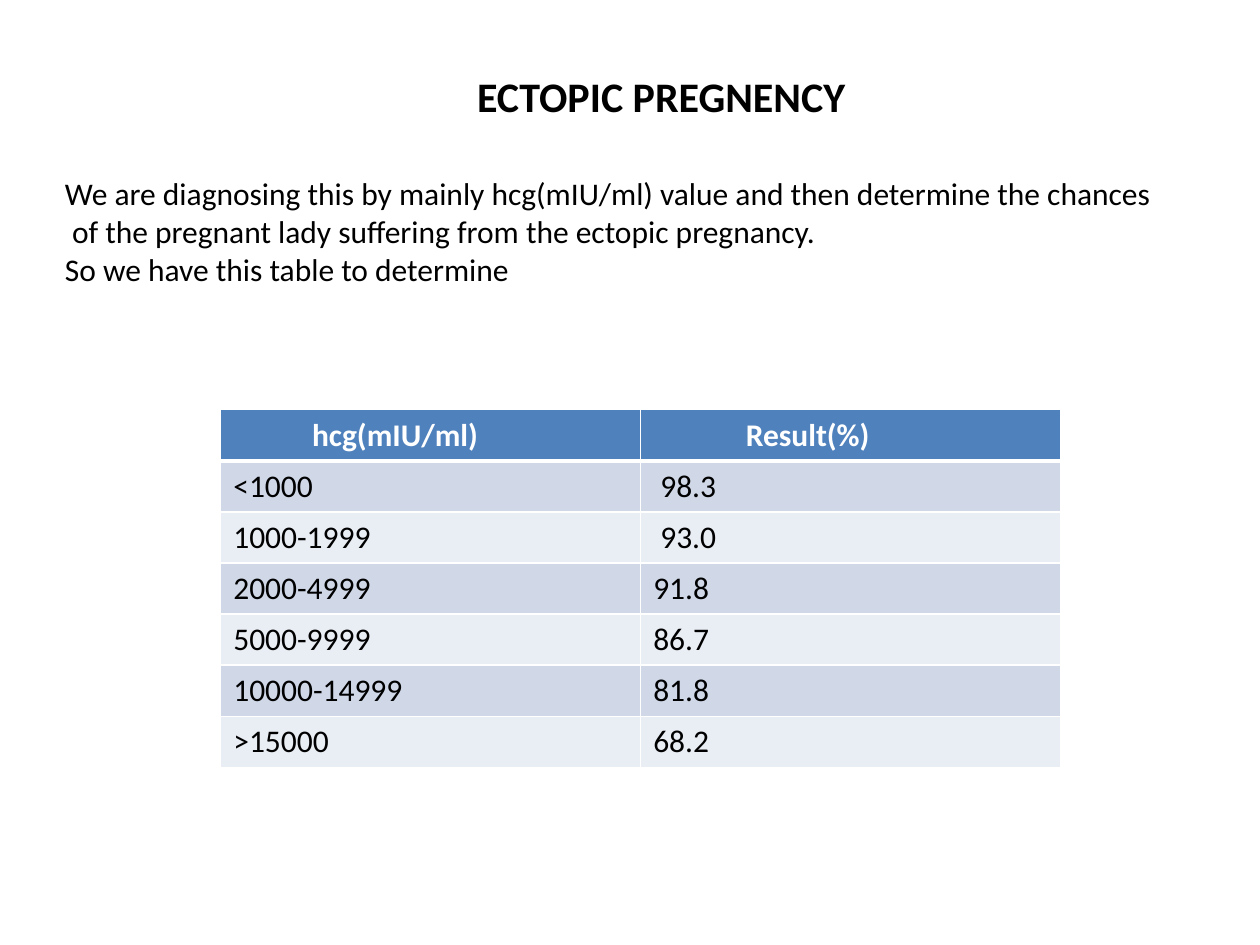
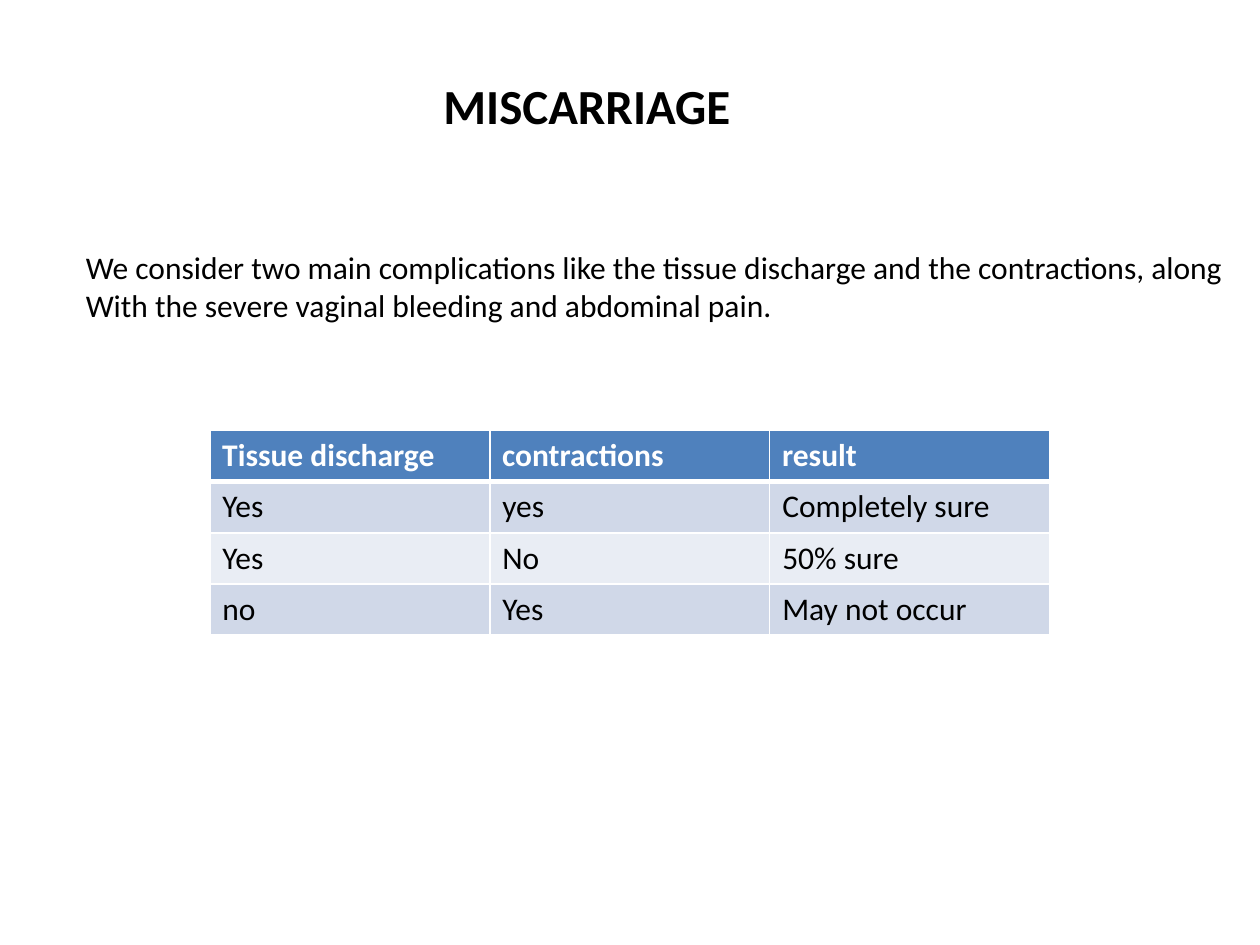
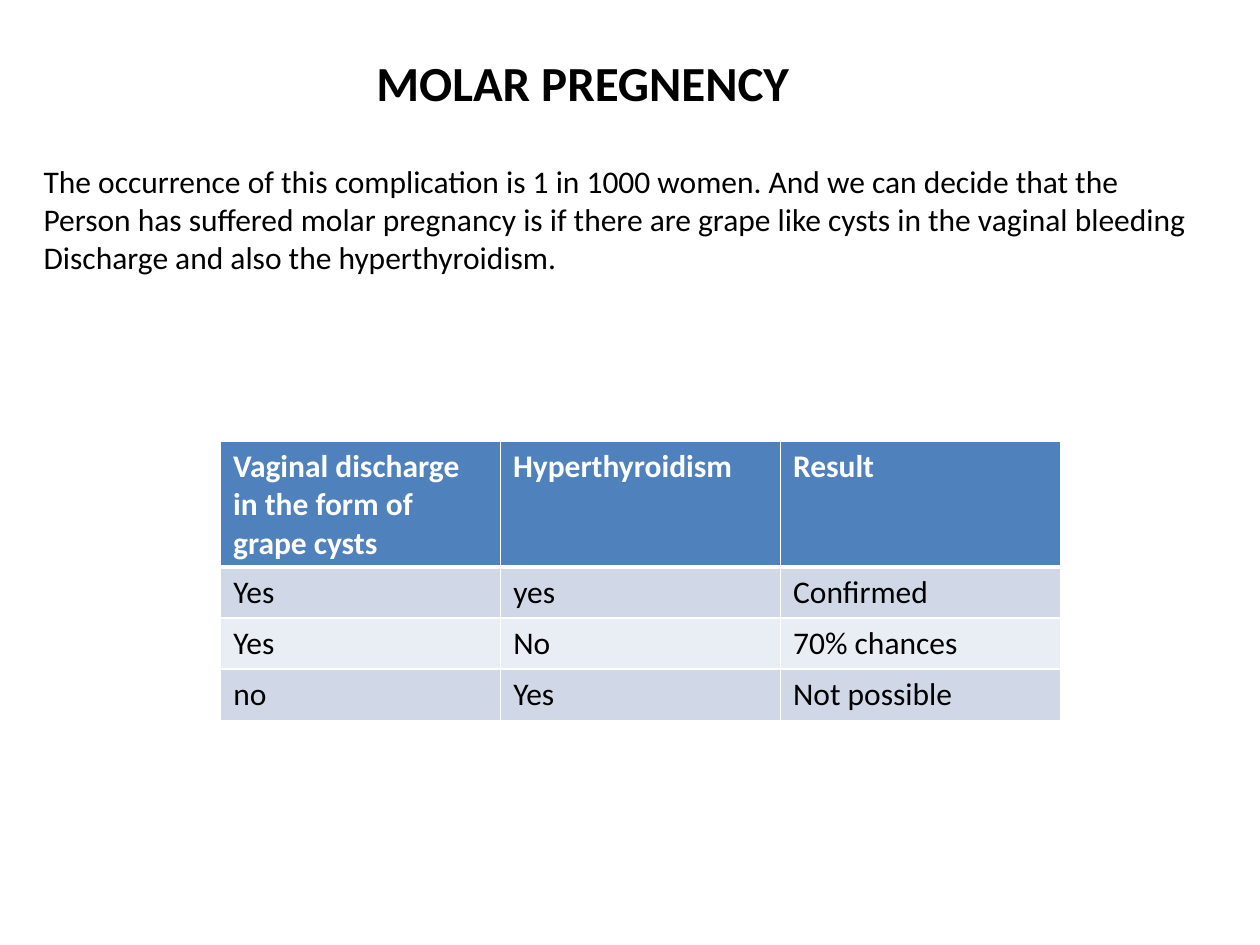
from lxml import etree
from pptx import Presentation
from pptx.dml.color import RGBColor
from pptx.enum import text
from pptx.oxml import ns
from pptx.util import Cm, Pt

FONT = "Calibri"
BODY_SIZE = 18
BLACK, WHITE = "000000", "FFFFFF"
HEADER_FILL = "4F81BD"
BAND_FILLS = ("D0D8E8", "E9EDF4")
TABLE_WIDTH, ROW_HEIGHT, CELL_MARGIN = 16.93, 1.03, 0.25

# Places are (left, top, width, height) in cm; a table needs only (left, top).
SLIDES = [
    {
        "title": "ECTOPIC PREGNENCY",
        "title_size": 24,
        "title_at": (9.37, 1.3, 8, 1.27),
        "body": [
            "We are diagnosing this by mainly hcg(mIU/ml) value and then determine the chances",
            " of the pregnant lady suffering from the ectopic pregnancy.",
            "So we have this table to determine",
        ],
        "body_at": (1.06, 3.39, 23.28, 4.87),
        "table_at": (4.45, 8.26),
        "header_indents": (1.59, 1.87),
        "rows": [
            ("hcg(mIU/ml)", "Result(%)"),
            ("<1000", " 98.3"),
            ("1000-1999", " 93.0"),
            ("2000-4999", "91.8"),
            ("5000-9999", "86.7"),
            ("10000-14999", "81.8"),
            (">15000", "68.2"),
        ],
    },
    {
        "title": "MISCARRIAGE",
        "title_size": 28,
        "title_at": (8.69, 1.4, 6.38, 1.45),
        "body": [
            "We consider two main complications like the tissue discharge and the contractions, along",
            "With the severe vaginal bleeding and abdominal pain.",
        ],
        "body_at": (1.48, 4.88, 23.85, 2.57),
        "table_at": (4.23, 8.68),
        "header_indents": (0, 0, 0),
        "rows": [
            ("Tissue discharge", "contractions", "result"),
            ("Yes", "yes", "Completely sure"),
            ("Yes", "No", "50% sure"),
            ("no", "Yes", "May not occur"),
        ],
    },
    {
        "title": "MOLAR PREGNENCY",
        "title_size": 28,
        "title_at": (7.34, 0.94, 9.14, 1.45),
        "body": [
            "The occurrence of this complication is 1 in 1000 women. And we can decide that the",
            "Person has suffered molar pregnancy is if there are grape like cysts in the vaginal bleeding",
            "Discharge and also the hyperthyroidism.",
        ],
        "body_at": (0.63, 3.15, 23.85, 2.57),
        "table_at": (4.45, 8.89),
        "header_indents": (0, 0, 0),
        "rows": [
            ("Vaginal discharge in the form of grape cysts", "Hyperthyroidism", "Result"),
            ("Yes", "yes", "Confirmed"),
            ("Yes", "No", "70% chances"),
            ("no", "Yes", "Not possible"),
        ],
    },
]


def color(value):
    return RGBColor.from_string(value)


def write(frame, lines, size=BODY_SIZE, bold=False, fill=BLACK):
    for index, line in enumerate(lines):
        para = frame.add_paragraph() if index else frame.paragraphs[0]
        span = para.add_run()
        span.text = line
        span.font.name = FONT
        span.font.size = Pt(size)
        span.font.bold = bold
        span.font.color.rgb = color(fill)


def add_text(page, lines, place, wrap=True, **style):
    frame = page.shapes.add_textbox(*map(Cm, place)).text_frame
    frame.word_wrap = wrap
    if not wrap:
        frame.auto_size = text.MSO_AUTO_SIZE.SHAPE_TO_FIT_TEXT
    write(frame, lines, **style)


def set_borders(cell, **widths):
    """Draw white edges; the keys are L, R, T, B in schema order, in points."""
    properties = cell._tc.get_or_add_tcPr()
    for index, (side, width) in enumerate(widths.items()):
        line = etree.Element(ns.qn(f"a:ln{side}"), w=str(Pt(width)))
        solid = etree.SubElement(line, ns.qn("a:solidFill"))
        etree.SubElement(solid, ns.qn("a:srgbClr"), val=WHITE)
        properties.insert(index, line)


def add_result_table(page, rows, place, header_indents):
    size = (TABLE_WIDTH, ROW_HEIGHT * len(rows))
    table = page.shapes.add_table(len(rows), len(rows[0]), *map(Cm, place + size)).table
    for r, row in enumerate(rows):
        header = r == 0
        for c, value in enumerate(row):
            cell = table.cell(r, c)
            cell.fill.solid()
            cell.fill.fore_color.rgb = color(HEADER_FILL if header else BAND_FILLS[(r - 1) % 2])
            if header:
                cell.margin_left = Cm(CELL_MARGIN + header_indents[c])
            set_borders(cell, L=1, R=1, T=3 if r == 1 else 1, B=3 if header else 1)
            write(cell.text_frame, [value], bold=header, fill=WHITE if header else BLACK)


def main():
    deck = Presentation()
    deck.slide_width, deck.slide_height = Cm(25.4), Cm(19.05)
    for content in SLIDES:
        page = deck.slides.add_slide(deck.slide_layouts[6])
        add_text(page, [content["title"]], content["title_at"], wrap=False,
                 size=content["title_size"], bold=True)
        add_text(page, content["body"], content["body_at"])
        add_result_table(page, content["rows"], content["table_at"], content["header_indents"])
    deck.save("out.pptx")


if __name__ == "__main__":
    main()
